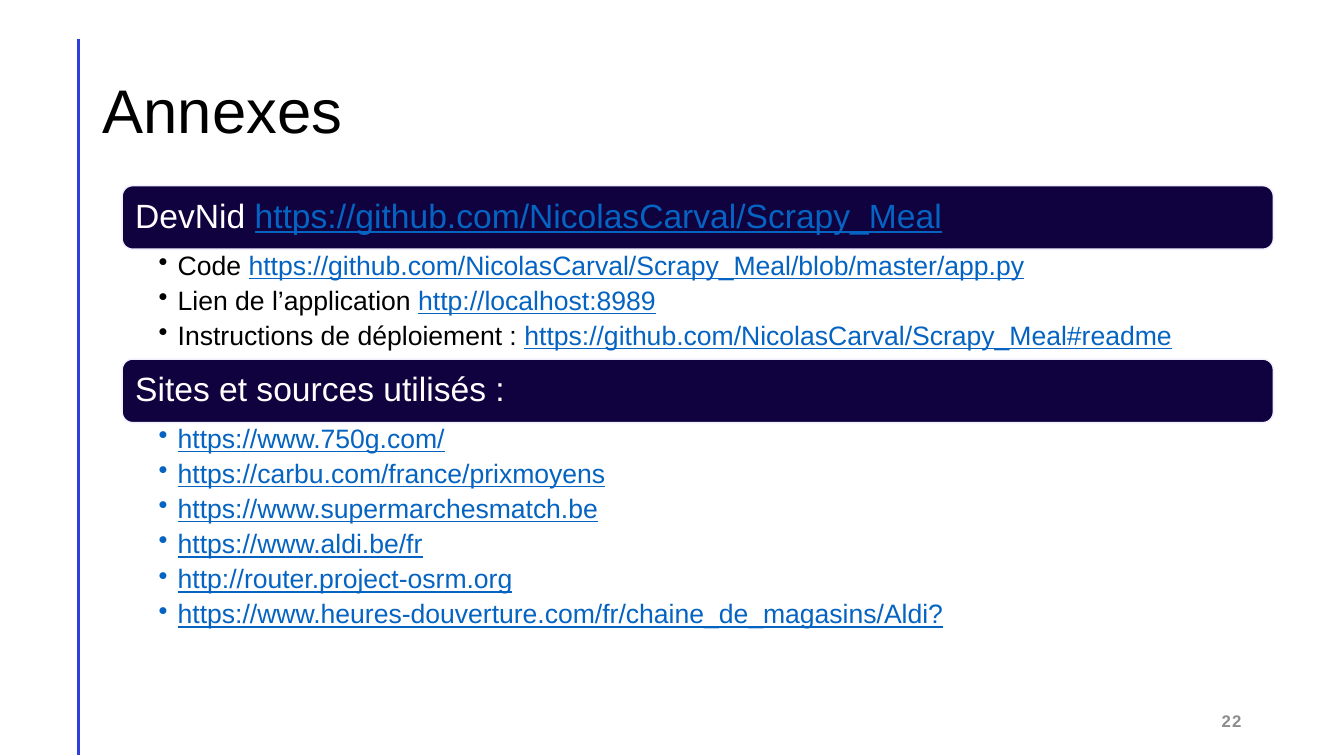
from lxml.etree import SubElement
from pptx import Presentation
from pptx.dml.color import RGBColor
from pptx.enum.shapes import MSO_CONNECTOR, MSO_SHAPE
from pptx.enum.text import MSO_ANCHOR, PP_ALIGN
from pptx.oxml.ns import qn
from pptx.util import Cm, Pt

COLORS = {
    "rule": "2F3FDD",
    "title": "000000",
    "number": "8C8C8C",
    "banner": "10013F",
    "banner_edge": "F2F0FF",
    "banner_text": "FFFFFF",
    "body": "000000",
    "link": "0563C1",
}
FONT = "Arial"
REPOSITORY = "https://github.com/NicolasCarval/Scrapy_Meal"
BANNER_HEIGHT = 1.6

# Each section: heading runs, then the runs of each bullet, then the list height.
SECTIONS = [
    (["DevNid ", REPOSITORY],
     [["Code ", REPOSITORY + "/blob/master/app.py"],
      ["Lien de l’application ", "http://localhost:8989"],
      ["Instructions de déploiement : ", REPOSITORY + "#readme"]],
     2.77),
    (["Sites et sources utilisés :"],
     [["https://www.750g.com/"],
      ["https://carbu.com/france/prixmoyens"],
      ["https://www.supermarchesmatch.be"],
      ["https://www.aldi.be/fr"],
      ["http://router.project-osrm.org"],
      ["https://www.heures-douverture.com/fr/chaine_de_magasins/Aldi?"]],
     5.51),
]


def color(name):
    return RGBColor.from_string(COLORS[name])


def add_run(paragraph, text, size, color_name):
    run = paragraph.add_run()
    run.text = text
    run.font.name = FONT
    run.font.size = Pt(size)
    run.font.color.rgb = color(color_name)
    return run


def add_linked_runs(paragraph, texts, size, color_name):
    """Write the texts in turn, showing web addresses as underlined links."""
    for text in texts:
        is_address = text.startswith("http")
        run = add_run(paragraph, text, size, "link" if is_address else color_name)
        run.font.underline = is_address


def set_frame(frame, anchor, insets):
    frame.word_wrap = True
    frame.vertical_anchor = anchor
    (frame.margin_left, frame.margin_top,
     frame.margin_right, frame.margin_bottom) = map(Cm, insets)


def add_text_frame(slide, left, top, width, height, anchor, insets=(0.25, 0.13, 0.25, 0.13)):
    frame = slide.shapes.add_textbox(Cm(left), Cm(top), Cm(width), Cm(height)).text_frame
    set_frame(frame, anchor, insets)
    return frame


def add_side_rule(slide, x, top, bottom):
    rule = slide.shapes.add_connector(MSO_CONNECTOR.STRAIGHT, Cm(x), Cm(top), Cm(x), Cm(bottom))
    rule.line.color.rgb = color("rule")
    rule.line.width = Pt(2)
    SubElement(rule._element.spPr, qn("a:effectLst"))


def add_title(slide, left, top, width, height):
    paragraph = add_text_frame(slide, left, top, width, height, MSO_ANCHOR.MIDDLE).paragraphs[0]
    paragraph.line_spacing = 0.9
    add_run(paragraph, "Annexes", 44, "title")


def add_slide_number(slide, left, top, width, height):
    paragraph = add_text_frame(slide, left, top, width, height, MSO_ANCHOR.MIDDLE).paragraphs[0]
    paragraph.alignment = PP_ALIGN.RIGHT
    run = add_run(paragraph, "22", 12, "number")
    run.font.bold = True
    run._r.get_or_add_rPr().set("spc", "100")


def add_banner(slide, left, top, width, height, heading):
    banner = slide.shapes.add_shape(
        MSO_SHAPE.ROUNDED_RECTANGLE, Cm(left), Cm(top), Cm(width), Cm(height))
    banner.shadow.inherit = False
    banner.fill.solid()
    banner.fill.fore_color.rgb = color("banner")
    banner.line.color.rgb = color("banner_edge")
    banner.line.width = Pt(1)
    # The rounded corners already inset the text by about 0.08 cm.
    set_frame(banner.text_frame, MSO_ANCHOR.MIDDLE, (0.25, 0.25, 0.25, 0.25))
    paragraph = banner.text_frame.paragraphs[0]
    paragraph.alignment = PP_ALIGN.LEFT
    paragraph.line_spacing = 0.9
    add_linked_runs(paragraph, heading, 24, "banner_text")


def add_bullet_list(slide, left, top, width, height, bullets):
    frame = add_text_frame(slide, left, top, width, height, MSO_ANCHOR.TOP,
                           (0.92, 0.08, 0.48, 0.08))
    for index, texts in enumerate(bullets):
        paragraph = frame.add_paragraph() if index else frame.paragraphs[0]
        paragraph.line_spacing = 0.9
        paragraph.space_after = Pt(4.5)
        properties = paragraph._p.get_or_add_pPr()
        properties.set("marL", str(Cm(0.48)))
        properties.set("indent", str(-Cm(0.48)))
        SubElement(properties, qn("a:buChar"), char="•")
        add_linked_runs(paragraph, texts, 19, "body")


def add_sections(slide, left, top, width):
    for heading, bullets, list_height in SECTIONS:
        add_banner(slide, left, top, width, BANNER_HEIGHT, heading)
        top += BANNER_HEIGHT
        add_bullet_list(slide, left, top, width, list_height, bullets)
        top += list_height


def main():
    presentation = Presentation()
    presentation.slide_width = Cm(33.87)
    presentation.slide_height = Cm(19.05)
    slide = presentation.slides.add_slide(presentation.slide_layouts[6])
    add_side_rule(slide, 1.98, 0.98, 19.03)
    add_title(slide, 2.34, 1.02, 29.21, 3.68)
    add_slide_number(slide, 23.92, 17.65, 7.62, 1.02)
    add_sections(slide, 3.08, 4.68, 29.01)
    presentation.save("out.pptx")


if __name__ == "__main__":
    main()
